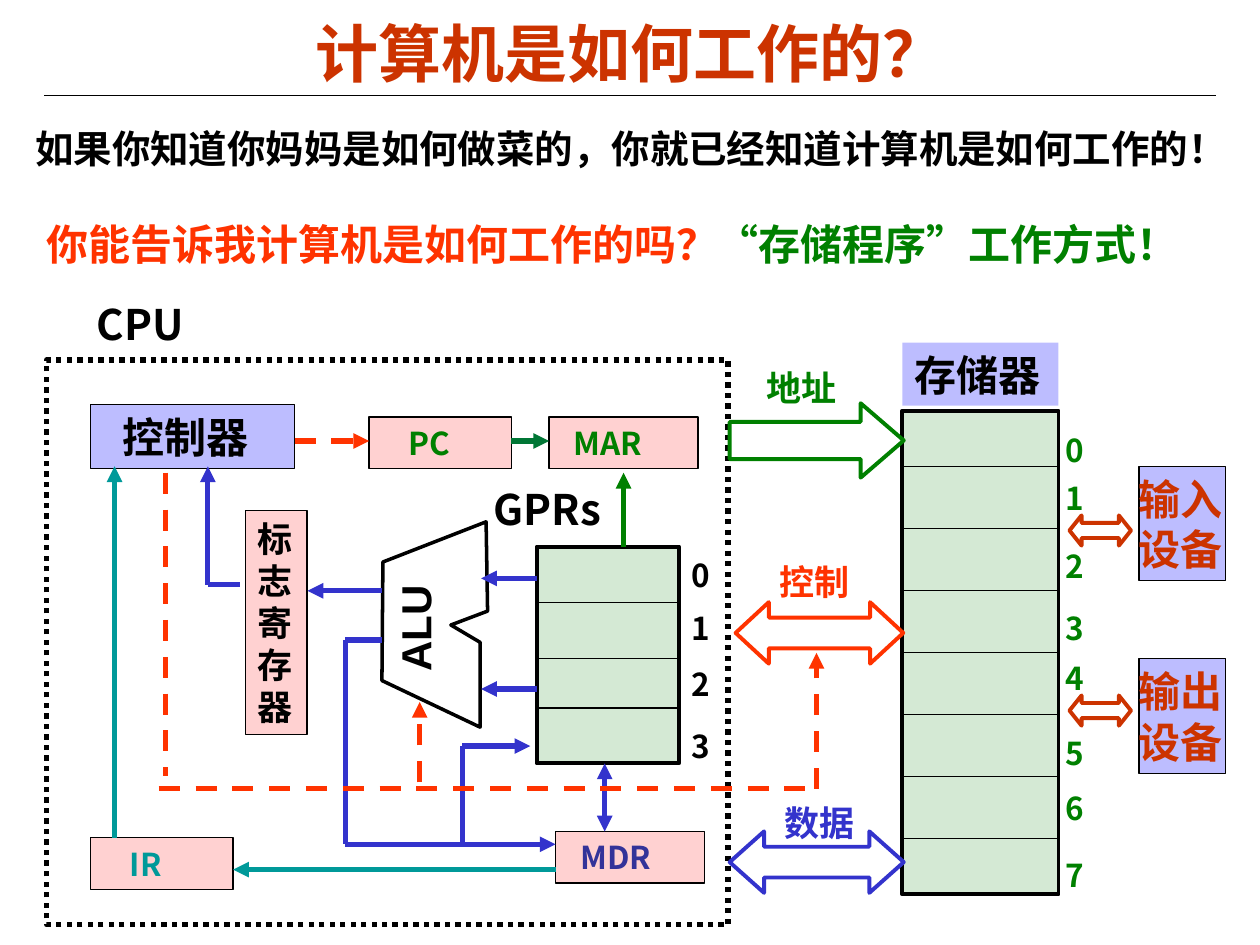
from lxml import etree
from pptx import Presentation
from pptx.dml.color import RGBColor
from pptx.enum.dml import MSO_LINE_DASH_STYLE as Dash
from pptx.enum.shapes import MSO_CONNECTOR as Connector, MSO_SHAPE as Shape
from pptx.enum.text import MSO_ANCHOR as Anchor, PP_ALIGN as Align
from pptx.oxml.ns import qn
from pptx.util import Cm, Pt

CJK = "Noto Sans CJK SC"
BLACK, WHITE, RUST = "000000", "FFFFFF", "CC3300"
GREEN, BLUE, RED, TEAL = "008000", "3333CC", "FF3300", "009999"
LILAC, PINK, MINT = ("0000FF", 26), ("FF0000", 18), ("008000", 17)


def rgb(value):
    """Turn a hex string into a colour."""
    return RGBColor.from_string(value)


class Diagram:
    """Draws styled elements on one slide; all lengths are centimetres."""

    def __init__(self, slide):
        self.slide = slide
        self.shapes = slide.shapes

    def caption(self, shape, text, size, color, font=CJK, left=0.25, align=Align.LEFT):
        """Put bold text, vertically centred, into a shape."""
        frame = shape.text_frame
        frame.word_wrap = True
        frame.vertical_anchor = Anchor.MIDDLE
        frame.margin_left, frame.margin_right = Cm(left), Cm(min(left, 0.25))
        frame.margin_top = frame.margin_bottom = Cm(0.13)
        frame.text = text
        for paragraph in frame.paragraphs:
            paragraph.alignment = align
            for run in paragraph.runs:
                run.font.size, run.font.bold = Pt(size), True
                run.font.name = font
                run.font.color.rgb = rgb(color)
                east_asian = etree.SubElement(run.font._element, qn("a:ea"))
                east_asian.set("typeface", CJK)

    def title(self, text, x, y, w, h):
        """Place and format the title placeholder."""
        heading = self.shapes.title
        heading.left, heading.top, heading.width, heading.height = Cm(x), Cm(y), Cm(w), Cm(h)
        self.caption(heading, text, 36, RUST, "Arial", align=Align.CENTER)

    def label(self, text, x, y, w, h, size, color, font=CJK):
        """Add a text box and return it."""
        box = self.shapes.add_textbox(Cm(x), Cm(y), Cm(w), Cm(h))
        self.caption(box, text, size, color, font)
        return box

    def paint(self, shape, fill, line, width):
        """Set fill, optionally as (colour, opacity percent), and outline."""
        shape.shadow.inherit = False
        if fill is None:
            shape.fill.background()
        else:
            color, opacity = fill if isinstance(fill, tuple) else (fill, 100)
            shape.fill.solid()
            shape.fill.fore_color.rgb = rgb(color)
            if opacity < 100:
                tint = shape._element.spPr.find(qn("a:solidFill"))[0]
                etree.SubElement(tint, qn("a:alpha")).set("val", str(opacity * 1000))
        if line is None:
            shape.line.fill.background()
        else:
            shape.line.color.rgb = rgb(line)
            shape.line.width = Pt(width)

    def box(self, x, y, w, h, fill, line=BLACK, width=0.75, kind=Shape.RECTANGLE):
        """Add a preset shape and return it."""
        shape = self.shapes.add_shape(kind, Cm(x), Cm(y), Cm(w), Cm(h))
        self.paint(shape, fill, line, width)
        return shape

    def unit(self, text, x, y, w, h, fill, size, color, left=0.25, line=BLACK):
        """Add a captioned hardware unit."""
        self.caption(self.box(x, y, w, h, fill, line), text, size, color, left=left)

    def bus(self, x, y, w, h, color, head, kind=Shape.LEFT_RIGHT_ARROW):
        """Add a hollow block arrow."""
        arrow = self.box(x, y, w, h, WHITE, color, 2.25, kind)
        arrow.adjustments[0], arrow.adjustments[1] = 0.5, head

    def outline(self, points):
        """Add a closed, unfilled polygon."""
        corners = [(Cm(x), Cm(y)) for x, y in points]
        builder = self.shapes.build_freeform(*corners[0], scale=1.0)
        builder.add_line_segments(corners[1:], close=True)
        self.paint(builder.convert_to_shape(), None, BLACK, 2)

    def route(self, points, color=BLACK, width=3, dash=False, ends=("tail",)):
        """Join points with straight lines; arrowheads go on the last one."""
        for start, stop in zip(points, points[1:]):
            wire = self.shapes.add_connector(
                Connector.STRAIGHT, *(Cm(value) for value in (*start, *stop)))
            wire.line.color.rgb = rgb(color)
            wire.line.width = Pt(width)
            if dash:
                wire.line.dash_style = Dash.DASH
            etree.SubElement(wire._element.spPr, qn("a:effectLst"))
        for end in ends:
            outline = wire._element.spPr.find(qn("a:ln"))
            etree.SubElement(outline, qn(f"a:{end}End")).set("type", "triangle")

    def cells(self, x, y, w, h, dividers, digits_x, digits_y, color):
        """Add a column of storage cells numbered from zero."""
        self.box(x, y, w, h, MINT, BLACK, 2.25)
        for divider in dividers:
            self.route([(x, divider), (x + w, divider)], width=0.75, ends=())
        for number, top in enumerate(digits_y):
            self.label(str(number), digits_x, top, 0.86, 1.02, 18, color)


deck = Presentation()
deck.slide_width, deck.slide_height = Cm(25.4), Cm(19.05)
d = Diagram(deck.slides.add_slide(deck.slide_layouts[5]))

# Headings
d.route([(0.89, 1.93), (24.51, 1.93)], width=0.75, ends=())
d.title("计算机是如何工作的？", 1.27, 0.28, 22.86, 1.55)
d.label("如果你知道你妈妈是如何做菜的，你就已经知道计算机是如何工作的！",
        0.46, 2.39, 24.71, 1.19, 22, BLACK)
d.label("你能告诉我计算机是如何工作的吗？", 0.69, 4.27, 15.75, 1.27, 24, RED)
d.label("“存储程序”工作方式！", 14.2, 4.27, 10.21, 1.27, 24, GREEN)

# CPU frame and its units
cpu_frame = d.box(0.94, 7.26, 13.74, 11.38, None, BLACK, 3)
cpu_frame.line.dash_style = Dash.ROUND_DOT
d.label("CPU", 1.7, 5.89, 2.36, 1.27, 24, BLACK)
d.unit("控制器", 1.83, 8.15, 4.11, 1.3, LILAC, 24, BLACK, 0.64)
d.unit("\n".join("标志寄存器"), 4.95, 10.29, 1.24, 4.52, PINK, 20, BLACK)
for name, x, y, w, color, left in [
        ("PC", 7.44, 8.41, 2.87, GREEN, 0.79),
        ("MAR", 11.07, 8.41, 3, GREEN, 0.5),
        ("MDR", 11.2, 16.76, 3, "333399", 0.5),
        ("IR", 1.83, 16.89, 2.87, TEAL, 0.79)]:
    d.unit(name, x, y, w, 1.04, PINK, 18, color, left)

# ALU
d.outline([(7.72, 11.33), (9.8, 10.52), (9.83, 12.32), (9.09, 12.6),
           (9.68, 12.95), (9.68, 14.66), (7.7, 13.72)])
alu_name = d.label("ALU", 7.29, 12.07, 2.26, 1.17, 24, BLACK, "Arial")
alu_name.rotation = 270
alu_name.text_frame.paragraphs[0].line_spacing = 0.9

# Registers
d.label("GPRs", 9.7, 9.63, 3.25, 1.27, 24, BLACK)
d.cells(10.82, 11.02, 2.87, 4.37, [12.14, 13.28, 14.27],
        13.69, [11.07, 12.14, 13.28, 14.53], BLACK)

# Memory
d.unit("存储器", 18.19, 6.91, 3.15, 1.27, LILAC, 24, BLACK, line=None)
d.cells(18.19, 8.28, 3.15, 9.75, [9.4 + 1.25 * row for row in range(7)],
        21.23, [8.56, 9.53, 10.9, 12.14, 13.16, 14.66, 15.77, 17.12], GREEN)

# Input and output devices
for name, top, arrow_top in [("输入", 9.4, 10.39), ("输出", 13.28, 14.02)]:
    d.unit(f"{name}\n设备", 22.96, top, 1.75, 2.31, LILAC, 24, RUST, 0)
    d.bus(21.56, arrow_top, 1.24, 0.61, RUST, 0.4)

# Buses between CPU and memory
d.bus(14.71, 8.13, 3.51, 1.5, GREEN, 0.58, Shape.RIGHT_ARROW)
d.bus(14.83, 12.14, 3.38, 1.24, RED, 0.54)
d.bus(14.71, 16.76, 3.51, 1.24, BLUE, 0.56)
for name, x, y, color in [("地址", 15.21, 7.26, GREEN), ("控制", 15.47, 11.18, RED),
                          ("数据", 15.57, 16.03, BLUE)]:
    d.label(name, x, y, 2.39, 1.09, 20, color)

# Data flow
for data_points in [
        [(10.82, 11.66), (9.7, 11.66)],
        [(10.82, 13.89), (9.7, 13.89)],
        [(7.7, 11.91), (6.2, 11.91)],
        [(4.83, 11.79), (4.19, 11.79), (4.19, 9.4)],
        [(7.7, 12.9), (6.96, 12.9), (6.96, 17.02), (11.2, 17.02)],
        [(9.32, 17.02), (9.32, 15.04), (10.69, 15.04)]]:
    d.route(data_points, BLUE)
d.route([(12.19, 15.39), (12.19, 16.76)], BLUE, ends=("head", "tail"))
d.route([(10.31, 8.89), (11.07, 8.89)], "007635")
d.route([(12.57, 11.02), (12.57, 9.53)], GREEN)
d.route([(11.2, 17.53), (4.7, 17.53)], TEAL)
d.route([(2.31, 16.89), (2.31, 9.4)], TEAL)

# Control signals
for signal, ends in [
        ([(5.94, 8.89), (7.44, 8.89)], ("tail",)),
        ([(3.2, 15.9), (16.33, 15.9)], ()),
        ([(3.33, 9.53), (3.33, 15.65)], ()),
        ([(8.46, 15.77), (8.46, 14.15)], ("tail",)),
        ([(16.46, 15.9), (16.46, 13.16)], ("tail",))]:
    d.route(signal, RED, dash=True, ends=ends)

deck.save("out.pptx")
